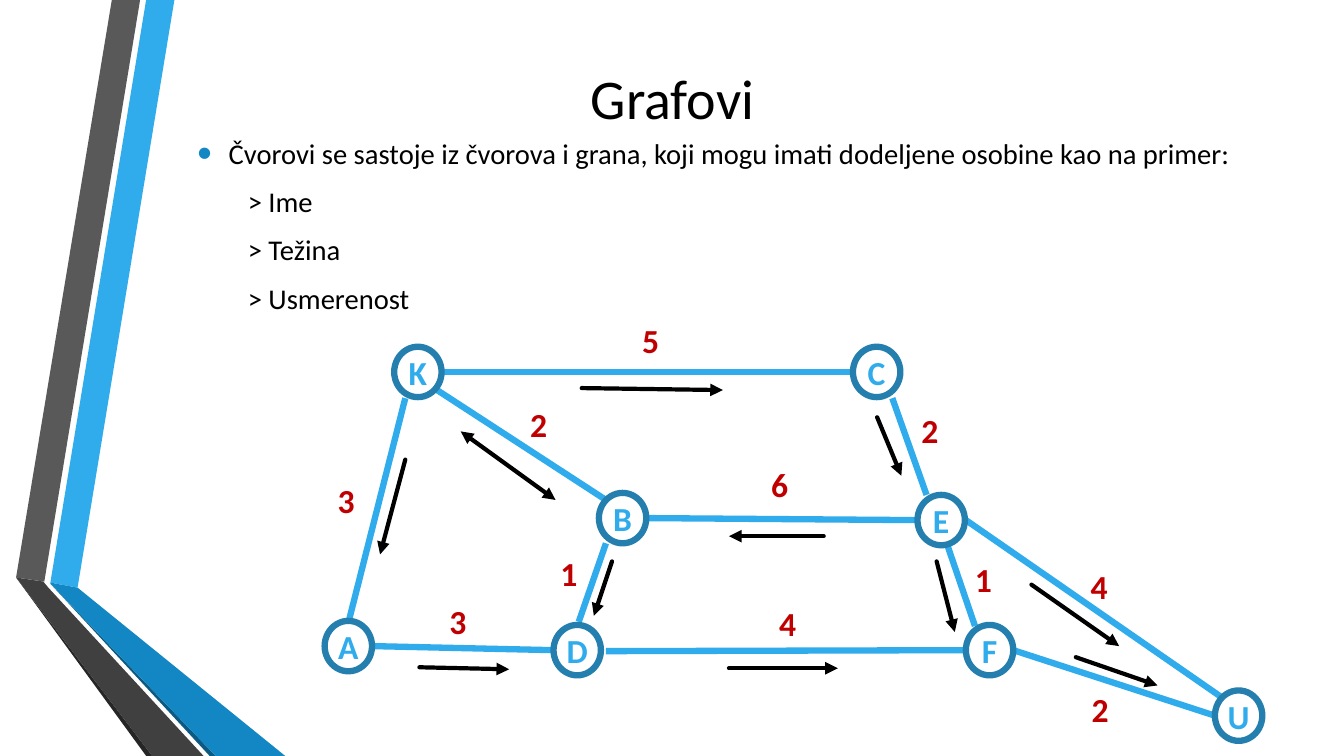
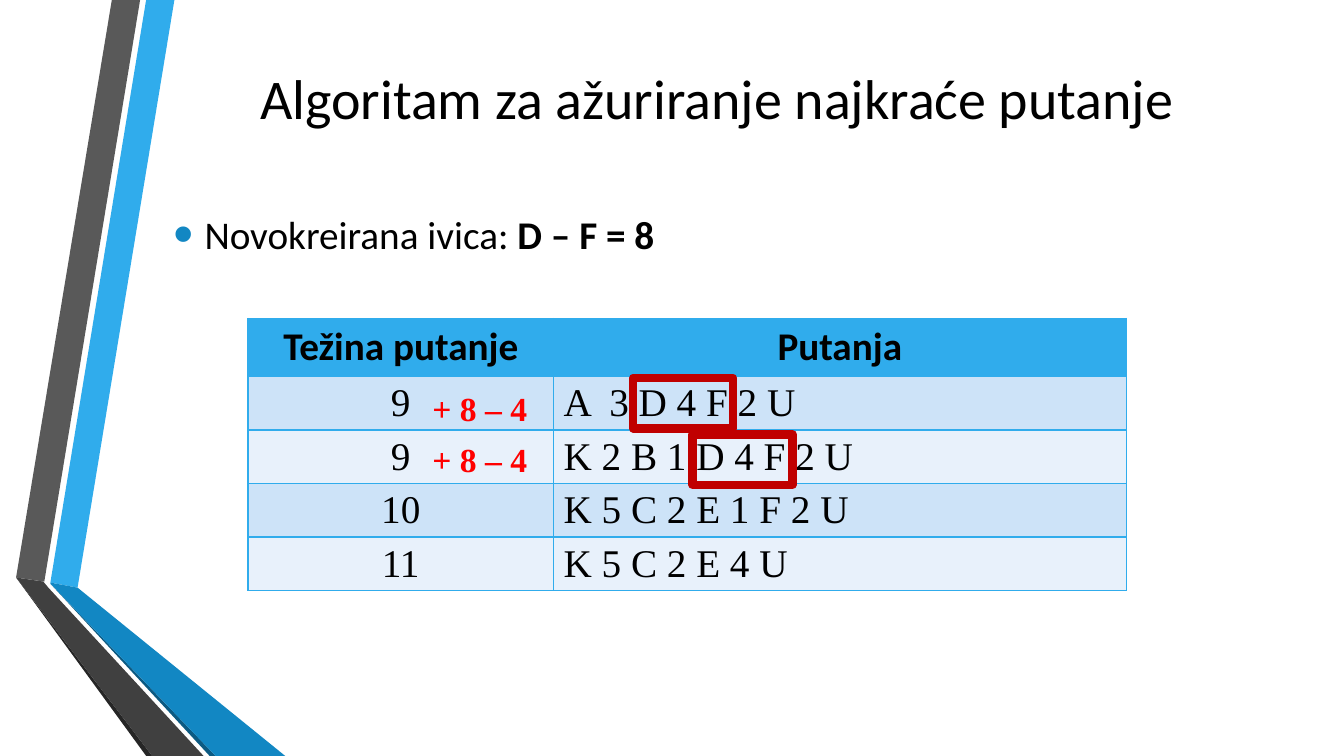
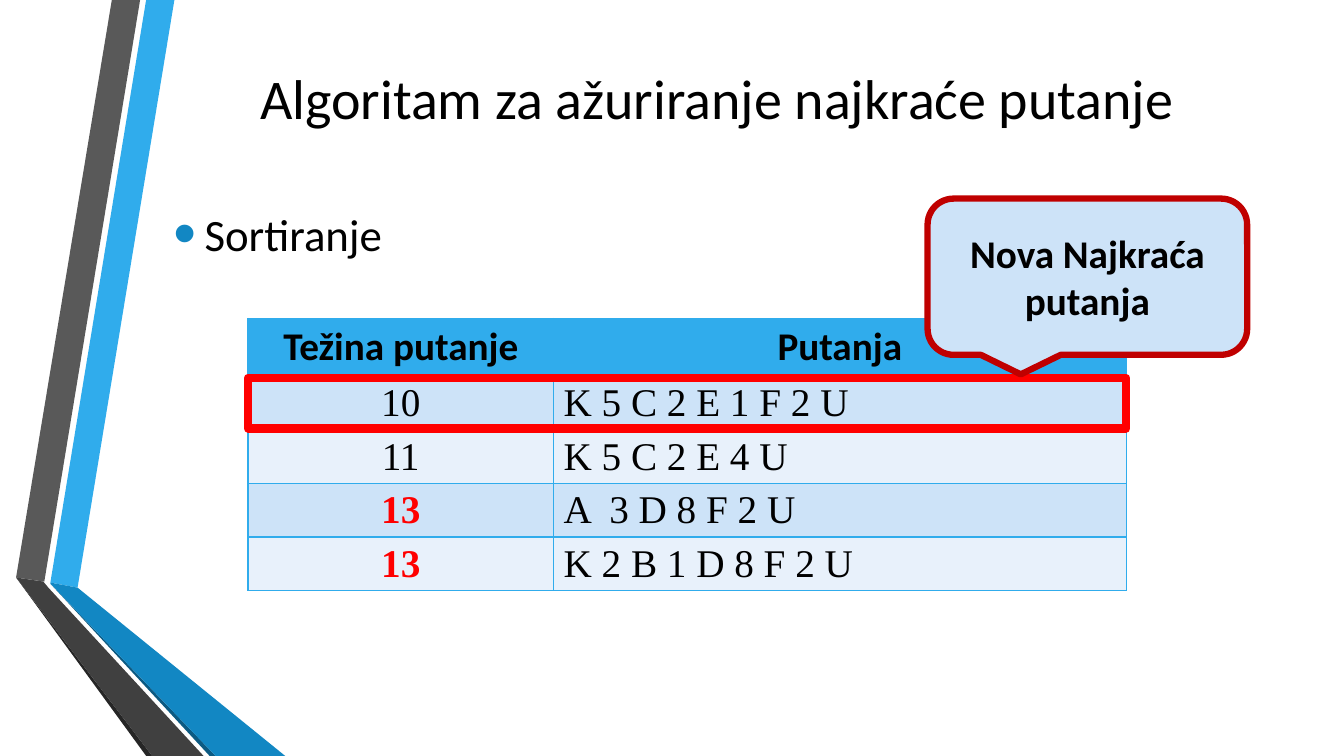
from lxml.etree import SubElement
from pptx import Presentation
from pptx.dml.color import RGBColor
from pptx.enum.shapes import MSO_CONNECTOR, MSO_SHAPE
from pptx.enum.text import MSO_ANCHOR, PP_ALIGN
from pptx.oxml.ns import qn
from pptx.util import Inches, Pt

# Colours and fonts
BLACK = RGBColor(0x00, 0x00, 0x00)
SKY = RGBColor(0x30, 0xAC, 0xEC)
BLUE = RGBColor(0x12, 0x87, 0xC3)
NAVY = RGBColor(0x0C, 0x5A, 0x82)
RING = RGBColor(0x24, 0x7F, 0xAF)
GREY = RGBColor(0x59, 0x59, 0x59)
DARK = RGBColor(0x40, 0x40, 0x40)
COAL = RGBColor(0x26, 0x26, 0x26)
CRIMSON = RGBColor(0xC0, 0x00, 0x00)
RED = RGBColor(0xFF, 0x00, 0x00)
PALE = RGBColor(0xCD, 0xE3, 0xF8)
PALER = RGBColor(0xE8, 0xF1, 0xFB)
SANS, SERIF = "Calibri", "Times New Roman"

# Folded ribbons at the left edge: colour, outline
RIBBONS = [
    (SKY, [(0.5, 5.78), (0.77, 5.83), (1.73, 0), (1.45, 0)]),
    (GREY, [(1.39, 0), (1.11, 0), (0.16, 5.73), (0.44, 5.77)]),
    (COAL, [(0.16, 5.73), (1.45, 7.5), (1.51, 7.5)]),
    (NAVY, [(0.5, 5.79), (2.08, 7.5), (2.14, 7.5)]),
    (BLUE, [(0.5, 5.79), (2.14, 7.5), (2.83, 7.5), (0.77, 5.83), (0.5, 5.78)]),
    (DARK, [(2.02, 7.5), (0.48, 5.83), (0.43, 5.77), (0.16, 5.73), (1.51, 7.5)]),
]

# Graph slide
GRAPH_TITLE = "Grafovi"
GRAPH_INTRO = "Čvorovi se sastoje iz čvorova i grana, koji mogu imati dodeljene osobine kao na primer:"
GRAPH_TRAITS = ["> Ime", "> Težina", "> Usmerenost"]
NODE_SIZE = (0.47, 0.5)
NODES = {
    "A": (3.22, 6.16), "B": (5.94, 4.89), "C": (8.46, 3.44), "D": (5.49, 6.2),
    "E": (9.1, 4.91), "F": (9.58, 6.2), "K": (3.91, 3.44), "U": (12.05, 6.85),
}
# Edge ends, weight, weight corner, arrow ends, two-way
EDGES = [
    ((8.85, 3.95, 9.19, 4.91), "2", (9.04, 4.02), (8.7, 4.14, 8.94, 4.72), False),
    ((4.39, 3.69, 8.46, 3.69), "5", (6.27, 3.12), (5.77, 3.85, 7.17, 3.87), False),
    ((4.32, 3.86, 6.01, 4.96), "2", (5.16, 3.96), (4.57, 4.28, 5.51, 4.96), True),
    ((6.42, 5.14, 9.1, 5.16), "6", (7.55, 4.55), (8.17, 5.32, 7.23, 5.32), False),
    ((4.02, 3.95, 3.46, 6.16), "3", (3.25, 4.71), (4.02, 4.56, 3.77, 5.5), False),
    ((5.49, 6.45, 3.7, 6.41), "3", (4.36, 5.91), (4.16, 6.62, 5.05, 6.64), False),
    ((9.58, 6.45, 6.01, 6.46), "4", (7.63, 5.93), (7.23, 6.63, 8.31, 6.63), False),
    ((9.67, 6.21, 9.39, 5.39), "1", (9.57, 5.5), (9.29, 5.57, 9.47, 6.27), False),
    ((12.12, 6.92, 9.58, 5.16), "4", (10.72, 5.57), (10.23, 5.8, 11.1, 6.41), False),
    ((12.05, 7.1, 10.05, 6.45), "2", (10.73, 6.79), (10.67, 6.52, 11.48, 6.8), False),
    ((5.74, 6.17, 6.01, 5.39), "1", (5.46, 5.44), (6.07, 5.57, 5.89, 6.11), False),
]

# Table slides
PATH_TITLE = "Algoritam za ažuriranje najkraće putanje"
HEADER = ("Težina putanje", "Putanja")
UPDATED_PATHS = [("9", "A  3 D 4 F 2 U"), ("9", "K 2 B 1 D 4 F 2 U"),
                 ("10", "K 5 C 2 E 1 F 2 U"), ("11", "K 5 C 2 E 4 U")]
SORTED_PATHS = [("10", "K 5 C 2 E 1 F 2 U"), ("11", "K 5 C 2 E 4 U"),
                ("13", "A  3 D 8 F 2 U"), ("13", "K 2 B 1 D 8 F 2 U")]
TABLE_LEFT, TABLE_TOP, ROW_HEIGHT = 2.46, 3.16, 0.41
COLUMNS = (3.03, 5.68)
CHANGE = "+ 8 – 4"
CHANGES = [((6.28, 3.75), (4.19, 3.8)), ((6.87, 4.31), (4.19, 4.31))]  # frame, note


def set_font(font, size, color=BLACK, name=SANS, bold=False):
    font.size, font.name, font.bold = Pt(size), name, bold
    font.color.rgb = color


def add_bullet(para):
    props = para._p.get_or_add_pPr()
    props.set("marL", str(Inches(0.31)))
    props.set("indent", str(-Inches(0.31)))
    color = SubElement(props, qn("a:buClr"))
    SubElement(color, qn("a:srgbClr"), val=str(BLUE))
    SubElement(props, qn("a:buSzPct"), val="145000")
    SubElement(props, qn("a:buFont"), typeface="Arial")
    SubElement(props, qn("a:buChar"), char="•")


def add_box(page, left, top, width, height, wrap=True):
    box = page.shapes.add_textbox(Inches(left), Inches(top), Inches(width), Inches(height))
    box.text_frame.word_wrap = wrap
    return box.text_frame


def add_label(page, text, corner, width, color, name=SANS, wrap=False):
    para = add_box(page, *corner, width, 0.5, wrap).paragraphs[0]
    para.text = text
    set_font(para.font, 24, color, name, True)


def add_line(page, ends, color, width):
    line = page.shapes.add_connector(MSO_CONNECTOR.STRAIGHT, *map(Inches, ends))
    line.line.color.rgb, line.line.width = color, Pt(width)
    SubElement(line._element.spPr, qn("a:effectLst"))
    return line


def add_arrow(page, ends, two_way):
    stroke = add_line(page, ends, BLACK, 3).line._get_or_add_ln()
    stroke.set("cap", "rnd")
    if two_way:
        SubElement(stroke, qn("a:headEnd"), type="triangle")
    SubElement(stroke, qn("a:tailEnd"), type="triangle")


def add_outlined(page, preset, at, color, width, fill=None):
    shape = page.shapes.add_shape(preset, *map(Inches, at))
    shape.shadow.inherit = False
    shape.line.color.rgb, shape.line.width = color, Pt(width)
    if fill is None:
        shape.fill.background()
    else:
        shape.fill.solid()
        shape.fill.fore_color.rgb = fill
    return shape


def write_centred(shape, text, size, color):
    frame = shape.text_frame
    frame.vertical_anchor = MSO_ANCHOR.MIDDLE
    para = frame.paragraphs[0]
    para.text, para.alignment = text, PP_ALIGN.CENTER
    set_font(para.font, size, color, bold=True)


def add_page(deck, title, left):
    page = deck.slides.add_slide(deck.slide_layouts[5])
    holder = page.shapes.title
    holder.left, holder.top = Inches(left), Inches(0)
    holder.width, holder.height = Inches(10.96), Inches(1.92)
    holder.text_frame.vertical_anchor = MSO_ANCHOR.MIDDLE
    para = holder.text_frame.paragraphs[0]
    para.text, para.alignment = title, PP_ALIGN.CENTER
    set_font(para.font, 40)
    return page


def move_ribbons_to_layout(page):
    """Freeforms can only be built on a slide, so they move to its layout."""
    for color, points in RIBBONS:
        start, *rest = [(Inches(x), Inches(y)) for x, y in points]
        builder = page.shapes.build_freeform(*start)
        builder.add_line_segments(rest)
        ribbon = builder.convert_to_shape()
        ribbon.shadow.inherit = False
        ribbon.fill.solid()
        ribbon.fill.fore_color.rgb = color
        ribbon.line.fill.background()
        page.slide_layout.shapes.element.append(ribbon.element)


def add_statement(page, text, size, bold_text=""):
    frame = add_box(page, 1.62, 1.64, 6.85, 1.35)
    frame.vertical_anchor = MSO_ANCHOR.MIDDLE
    para = frame.paragraphs[0]
    add_bullet(para)
    para.space_after = Pt(6)
    set_font(para.font, size)
    para.add_run().text = text
    if bold_text:
        span = para.add_run()
        span.text, span.font.bold = bold_text, True


def add_cell_borders(cell):
    props = cell._tc.get_or_add_tcPr()
    for place, side in enumerate(("a:lnL", "a:lnR", "a:lnT", "a:lnB")):
        border = SubElement(props, qn(side), w=str(Pt(1)))
        fill = SubElement(border, qn("a:solidFill"))
        SubElement(fill, qn("a:srgbClr"), val=str(SKY))
        props.insert(place, border)


def add_path_table(page, paths, changed=()):
    rows = [HEADER] + paths
    table = page.shapes.add_table(
        len(rows), len(COLUMNS), Inches(TABLE_LEFT), Inches(TABLE_TOP),
        Inches(sum(COLUMNS)), Inches(ROW_HEIGHT * len(rows))).table
    for column, width in zip(table.columns, COLUMNS):
        column.width = Inches(width)
    for r, row in enumerate(rows):
        for c, text in enumerate(row):
            cell = table.cell(r, c)
            cell.fill.solid()
            cell.fill.fore_color.rgb = SKY if r == 0 else PALE if r % 2 else PALER
            add_cell_borders(cell)
            para = cell.text_frame.paragraphs[0]
            para.text = text
            para.alignment = PP_ALIGN.CENTER if r == 0 or c == 0 else PP_ALIGN.LEFT
            marked = c == 0 and text in changed
            set_font(para.font, 28, RED if marked else BLACK,
                     SANS if r == 0 else SERIF, r == 0 or marked)


def build_graph(deck):
    page = add_page(deck, GRAPH_TITLE, 1.19)
    move_ribbons_to_layout(page)
    for ends, *_ in EDGES:
        add_line(page, ends, SKY, 4.5)

    # Introduction and traits
    frame = add_box(page, 1.86, 1.31, 10.74, 1.85)
    frame.vertical_anchor = MSO_ANCHOR.MIDDLE
    for i, text in enumerate([GRAPH_INTRO] + GRAPH_TRAITS):
        para = frame.add_paragraph() if i else frame.paragraphs[0]
        para.text = text
        if i:
            para._p.get_or_add_pPr().set("marL", str(Inches(0.5)))
            para.space_before = Pt(4)
        else:
            add_bullet(para)
        para.space_after = Pt(6)
        set_font(para.font, 20.4)

    # Nodes, weights and directions
    for name, corner in NODES.items():
        node = add_outlined(page, MSO_SHAPE.OVAL, corner + NODE_SIZE, RING, 4.5)
        frame = node.text_frame
        frame.margin_left = frame.margin_right = frame.margin_top = frame.margin_bottom = 0
        frame.word_wrap = False
        write_centred(node, name, 24, SKY)
    for _, weight, corner, arrow, two_way in EDGES:
        add_label(page, weight, corner, 0.37, CRIMSON)
        add_arrow(page, arrow, two_way)


def build_update(deck):
    page = add_page(deck, PATH_TITLE, 1.63)
    add_path_table(page, UPDATED_PATHS)
    add_statement(page, "Novokreirana ivica: ", 28, "D – F = 8")
    for frame, note in CHANGES:
        add_outlined(page, MSO_SHAPE.RECTANGLE, frame + (0.99, 0.5), CRIMSON, 6)
        add_label(page, CHANGE, note, 1.43, RED, SERIF, wrap=True)


def build_sorting(deck):
    page = add_page(deck, PATH_TITLE, 1.63)
    add_path_table(page, SORTED_PATHS, changed=("13",))
    add_statement(page, "Sortiranje", 32)
    best_row = (TABLE_LEFT, 3.75, sum(COLUMNS), 0.5)
    add_outlined(page, MSO_SHAPE.RECTANGLE, best_row, RED, 6)
    callout = add_outlined(page, MSO_SHAPE.ROUNDED_RECTANGULAR_CALLOUT,
                           (9.2, 1.97, 3.17, 1.55), CRIMSON, 4.5, PALE)
    write_centred(callout, "Nova Najkraća putanja", 28, BLACK)


def main():
    deck = Presentation()
    deck.slide_width, deck.slide_height = Inches(13.33), Inches(7.5)
    build_graph(deck)
    build_update(deck)
    build_sorting(deck)
    deck.save("out.pptx")


if __name__ == "__main__":
    main()
